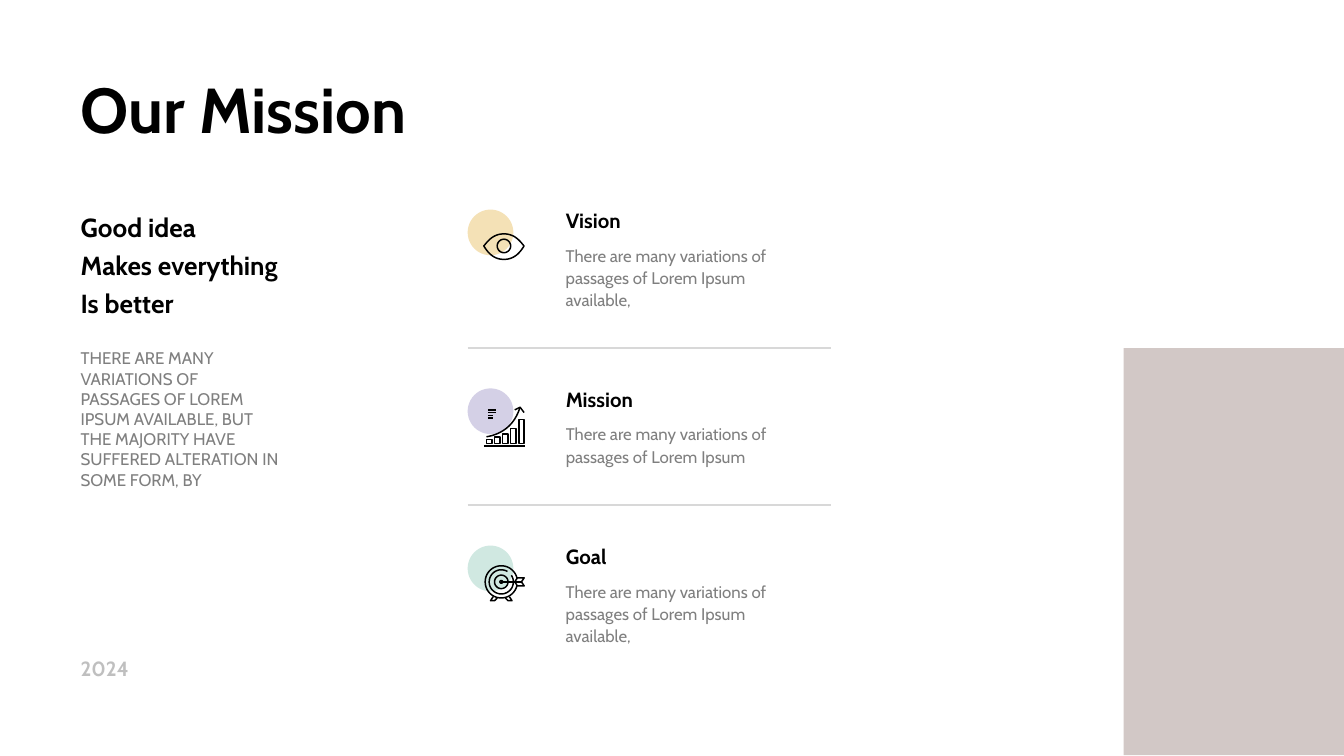
import math
from dataclasses import dataclass

import lxml.etree
import pptx
import pptx.dml.color
import pptx.enum.shapes
import pptx.enum.text
import pptx.oxml.ns
import pptx.util

Inches = pptx.util.Inches
Pt = pptx.util.Pt
Point = tuple[float, float]

COLORS = {
    "ink": "000000", "gray": "7F7F7F", "year": "BFBFBF", "rule": "D8D8D8",
    "panel": "D2C8C6", "vision": "EAC167", "mission": "A69DCC", "goal": "9DD0C2",
}
FRAME = {
    "word_wrap": True,
    "margin_left": Inches(0.08), "margin_right": Inches(0.08),
    "margin_top": Inches(0.04), "margin_bottom": Inches(0.04),
    "vertical_anchor": pptx.enum.text.MSO_ANCHOR.TOP,
    "auto_size": pptx.enum.text.MSO_AUTO_SIZE.SHAPE_TO_FIT_TEXT,
}
LEFT = 0.52
ICON_LEFT = 3.48
TEXT_LEFT = 4.13
RULE_RIGHT = 6.18


@dataclass
class TextStyle:
    size: float
    color: str
    bold: bool = False
    spacing: float = 1.0


@dataclass
class Stroke:
    points: list[Point]
    closed: bool = False


@dataclass
class Topic:
    name: str
    detail: str
    top: float
    detail_width: float
    color: str
    icon_drop: float
    icon: list[Stroke]


def color(name: str) -> pptx.dml.color.RGBColor:
    return pptx.dml.color.RGBColor.from_string(COLORS[name])


def set_all(target, values: dict) -> None:
    for name, value in values.items():
        setattr(target, name, value)


def place(shape, left: float, top: float, width: float, height: float) -> None:
    bounds = {"left": left, "top": top, "width": width, "height": height}
    set_all(shape, {name: Inches(value) for name, value in bounds.items()})


def write(box, lines: list[str], style: TextStyle) -> None:
    frame = box.text_frame
    set_all(frame, FRAME)
    for index, line in enumerate(lines):
        para = frame.add_paragraph() if index else frame.paragraphs[0]
        if box.is_placeholder:
            properties = para._p.get_or_add_pPr()
            properties.set("marL", "0")
            properties.set("indent", "0")
            lxml.etree.SubElement(properties, pptx.oxml.ns.qn("a:buNone"))
        set_all(para, {"alignment": pptx.enum.text.PP_ALIGN.LEFT,
                       "line_spacing": style.spacing, "space_before": Pt(0)})
        span = para.add_run()
        span.text = line
        set_all(span.font, {"name": "Cabin", "size": Pt(style.size), "bold": style.bold})
        span.font.color.rgb = color(style.color)


def add_text(page, bounds: tuple, text: str, style: TextStyle) -> None:
    box = page.shapes.add_textbox(*map(Inches, bounds))
    write(box, [text], style)


def add_block(page, kind, bounds: tuple, fill: str, opacity: int = 100) -> None:
    block = page.shapes.add_shape(kind, *map(Inches, bounds))
    block.shadow.inherit = False
    block.fill.solid()
    block.fill.fore_color.rgb = color(fill)
    block.line.fill.background()
    if opacity < 100:
        tint = block._element.spPr.find(".//" + pptx.oxml.ns.qn("a:srgbClr"))
        alpha = lxml.etree.SubElement(tint, pptx.oxml.ns.qn("a:alpha"))
        alpha.set("val", str(opacity * 1000))


def add_rule(page, top: float) -> None:
    rule = page.shapes.add_connector(
        pptx.enum.shapes.MSO_CONNECTOR.STRAIGHT,
        Inches(ICON_LEFT), Inches(top), Inches(RULE_RIGHT), Inches(top))
    rule.line.color.rgb = color("rule")
    rule.line.width = Pt(1)
    lxml.etree.SubElement(rule._element.spPr, pptx.oxml.ns.qn("a:effectLst"))


def arc(x: float, y: float, radius: float, start: int = 0, end: int = 360) -> Stroke:
    steps = 36
    angles = [math.radians(start + (end - start) * i / steps) for i in range(steps + 1)]
    points = [(x + radius * math.cos(a), y + radius * math.sin(a)) for a in angles]
    return Stroke(points, closed=end - start == 360)


def curve(a: Point, b: Point, c: Point, d: Point) -> list[Point]:
    def blend(t: float, axis: int) -> float:
        s = 1 - t
        return s**3 * a[axis] + 3 * s * s * t * b[axis] + 3 * s * t * t * c[axis] + t**3 * d[axis]
    return [(blend(i / 16, 0), blend(i / 16, 1)) for i in range(17)]


def mirror(points: list[Point], x: float) -> list[Point]:
    return [(2 * x - px, py) for px, py in points]


def eye_icon() -> list[Stroke]:
    middle = 0.15
    lower = curve((0, 0.1), (0.02, 0.13), (0.06, 0.2), (middle, 0.2))
    upper = curve((middle, 0.01), (0.06, 0.01), (0.02, 0.08), (0, 0.1))
    half = upper + lower
    return [Stroke(half + mirror(half, middle)[::-1], True), arc(middle, 0.1, 0.05)]


def growth_icon() -> list[Stroke]:
    notes = [Stroke([(0.03, 0.03 + 0.02 * i), (end, 0.03 + 0.02 * i)])
             for i, end in enumerate((0.09, 0.09, 0.07, 0.07))]
    bars = []
    for i, top in enumerate((0.25, 0.23, 0.21, 0.17, 0.1)):
        left, right, bottom = 0.02 + 0.06 * i, 0.06 + 0.06 * i, 0.28
        bars.append(Stroke([(left, top), (right, top), (right, bottom), (left, bottom)], True))
    trend = Stroke(curve((0.02, 0.23), (0.14, 0.21), (0.23, 0.14), (0.27, 0.01)))
    head = Stroke([(0.23, 0.03), (0.27, 0.01), (0.3, 0.05)])
    return [*notes, *bars, trend, head, Stroke([(0, 0.3), (0.31, 0.3)])]


def target_icon() -> list[Stroke]:
    center = 0.13
    foot = [(0.07, 0.24), (0.05, 0.27), (0.08, 0.27), (0.1, 0.25)]
    feather = [(0.23, center), (0.25, 0.1), (0.3, 0.1), (0.28, center),
               (0.3, 0.16), (0.25, 0.16)]
    return [
        arc(center, center, 0.12, 12, 348), arc(center, center, 0.09, -33, 301),
        arc(center, center, 0.05), arc(center, center, 0.01),
        Stroke([(center, center), (0.28, center)]), Stroke(feather, True),
        Stroke(foot), Stroke(mirror(foot, center)),
    ]


def add_icon(page, left: float, top: float, strokes: list[Stroke]) -> None:
    builder = None
    for stroke in strokes:
        points = [(Inches(left + x), Inches(top + y)) for x, y in stroke.points]
        if builder is None:
            builder = page.shapes.build_freeform(*points[0])
        else:
            builder.move_to(*points[0])
        builder.add_line_segments(points[1:], close=stroke.closed)
    icon = builder.convert_to_shape()
    icon.shadow.inherit = False
    icon.fill.background()
    icon.line.color.rgb = color("ink")
    icon.line.width = Pt(0.8)


def add_topic(page, topic: Topic) -> None:
    add_block(page, pptx.enum.shapes.MSO_SHAPE.OVAL,
              (ICON_LEFT, topic.top, 0.34, 0.34), topic.color, 48)
    add_icon(page, ICON_LEFT + 0.12, topic.top + topic.icon_drop, topic.icon)
    add_text(page, (TEXT_LEFT, topic.top - 0.05, 0.85, 0.26), topic.name,
             TextStyle(11, "ink", True))
    add_text(page, (TEXT_LEFT, topic.top + 0.21, topic.detail_width, 0.56), topic.detail,
             TextStyle(9, "gray", spacing=1.1))


def main() -> None:
    deck = pptx.Presentation()
    set_all(deck, {"slide_width": Inches(10), "slide_height": Inches(10 * 9 / 16)})
    page = deck.slides.add_slide(deck.slide_layouts[1])
    title, slogan = page.placeholders

    add_block(page, pptx.enum.shapes.MSO_SHAPE.RECTANGLE, (8.36, 2.59, 1.64, 3.03), "panel")
    place(title, LEFT, 0.48, 6.83, 0.65)
    write(title, ["Our Mission"], TextStyle(34, "ink", True))
    place(slogan, LEFT, 1.48, 2.35, 0.77)
    write(slogan, ["Good idea", "Makes everything", "Is better"],
          TextStyle(14, "ink", True, 1.22))
    add_text(page, (LEFT, 2.55, 1.64, 1.14),
             "THERE ARE MANY VARIATIONS OF PASSAGES OF LOREM IPSUM AVAILABLE, BUT "
             "THE MAJORITY HAVE SUFFERED ALTERATION IN SOME FORM, BY",
             TextStyle(9, "gray"))
    add_text(page, (LEFT, 4.84, 2.37, 0.25), "2024", TextStyle(11, "year", True))

    short = "There are many variations of passages of Lorem Ipsum"
    full = short + " available,"
    topics = [
        Topic("Vision", full, 1.56, 1.96, "vision", 0.17, eye_icon()),
        Topic("Mission", short, 2.89, 1.79, "mission", 0.13, growth_icon()),
        Topic("Goal", full, 4.06, 1.96, "goal", 0.14, target_icon()),
    ]
    for topic in topics:
        add_topic(page, topic)
    for topic in topics[1:]:
        add_rule(page, topic.top - 0.3)

    deck.save("out.pptx")


if __name__ == "__main__":
    main()
